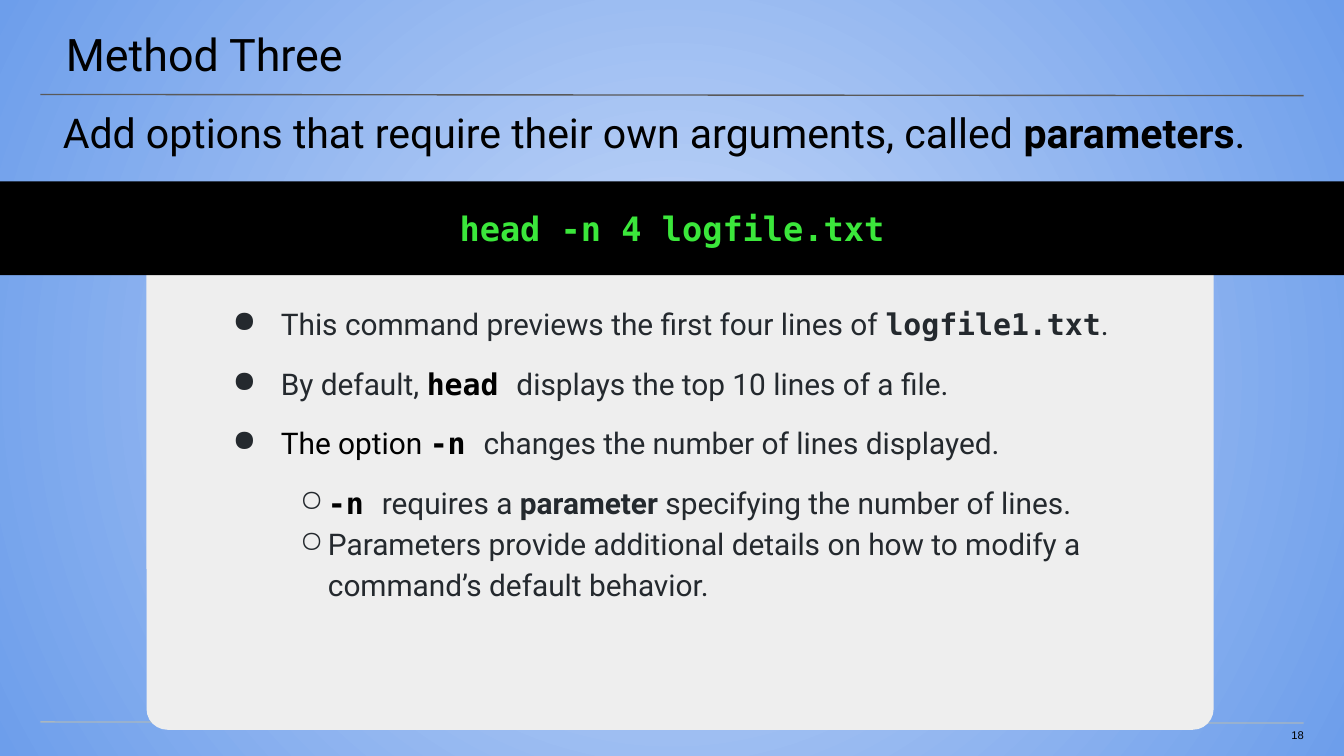
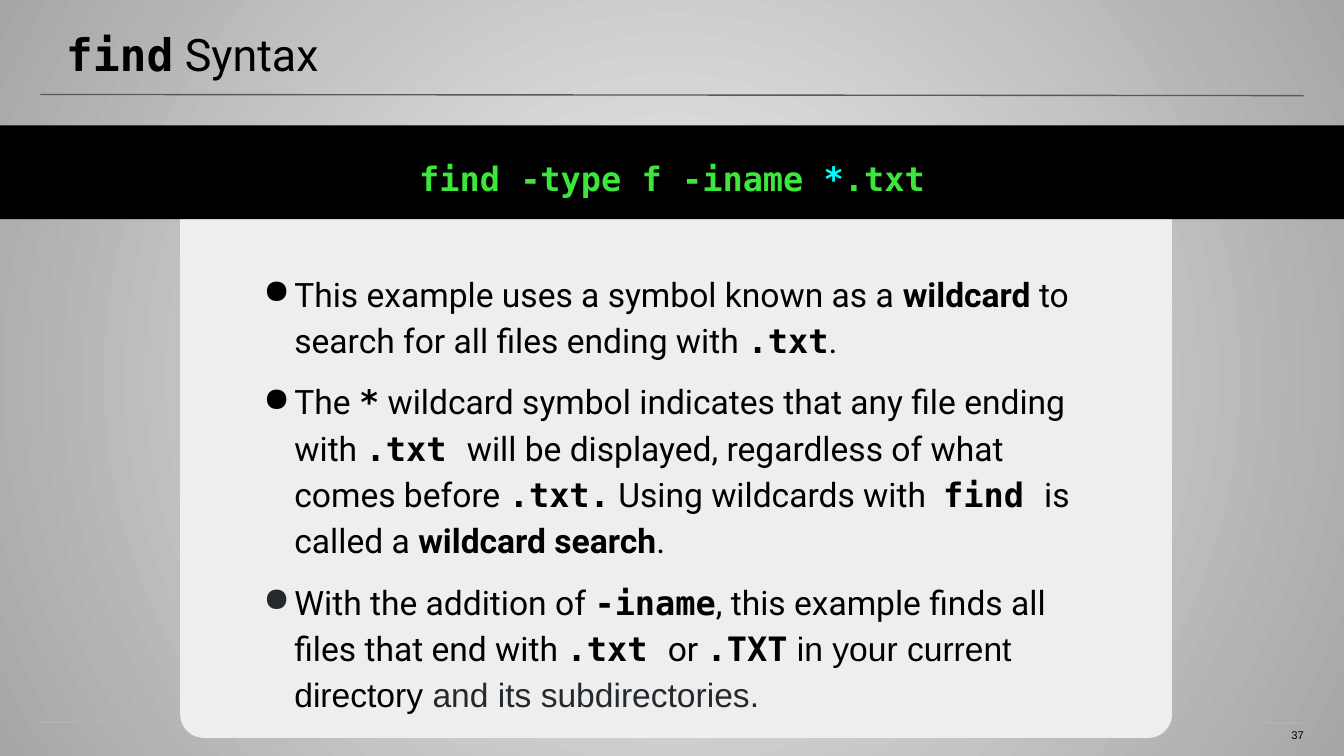
"""Build two command-line teaching slides that share a title rule, black command band and rounded panel."""
from lxml import etree
from pptx import Presentation
from pptx.dml.color import RGBColor
from pptx.enum.shapes import MSO_CONNECTOR, MSO_SHAPE
from pptx.enum.text import MSO_ANCHOR, PP_ALIGN
from pptx.oxml.ns import qn
from pptx.util import Inches, Pt

RECT, ROUND_TOP = MSO_SHAPE.RECTANGLE, MSO_SHAPE.ROUND_2_SAME_RECTANGLE
STRAIGHT = MSO_CONNECTOR.STRAIGHT
LEFT, CENTER, RIGHT = PP_ALIGN.LEFT, PP_ALIGN.CENTER, PP_ALIGN.RIGHT
TOP, MIDDLE = MSO_ANCHOR.TOP, MSO_ANCHOR.MIDDLE
BLACK, INK, GREEN, CYAN, PANEL = "000000", "24292E", "3BE73B", "00FFFF", "EEEEEE"
FONTS = {"text": ("Roboto", False), "bold": ("Roboto", True),
         "code": ("DejaVu Sans Mono", True), "plain": ("Arial", False)}

prs = Presentation()
prs.slide_width, prs.slide_height = Inches(10), Inches(5.625)
COL, ROW = prs.slide_width / 100, prs.slide_height / 100


def rgb(hex_color):
    """Turn a hex string into a colour."""
    return RGBColor.from_string(hex_color)


def add_block(s, at, paras, size, ins=(0.1, 0.1, 0.1, 0.1), shape=None, fill=None, align=LEFT, anchor=TOP):
    """Add a text box or filled shape on the grid; a paragraph is (format, runs)."""
    x, y, w, h = at
    box = [round(v) for v in (x * COL, y * ROW, w * COL, h * ROW)]
    if shape is None:
        sp = s.shapes.add_textbox(*box)
    else:
        sp = s.shapes.add_shape(shape, *box)
        sp.shadow.inherit = False
        sp.fill.solid()
        sp.fill.fore_color.rgb = rgb(fill)
        sp.line.fill.background()
    tf = sp.text_frame
    tf.word_wrap, tf.vertical_anchor = True, anchor
    tf.margin_left, tf.margin_top, tf.margin_right, tf.margin_bottom = [Inches(v) for v in ins]
    for i, (fmt, runs) in enumerate(paras):
        p = tf.add_paragraph() if i else tf.paragraphs[0]
        pPr = p._p.get_or_add_pPr()
        pPr.set("marL", str(Inches(fmt.get("margin", 0))))
        pPr.set("indent", str(Inches(fmt.get("hang", 0))))
        if "bullet" in fmt:
            clr = etree.SubElement(pPr, qn("a:buClr"))
            etree.SubElement(clr, qn("a:srgbClr"), val=fmt.get("dot", INK))
            etree.SubElement(pPr, qn("a:buChar"), char=fmt["bullet"])
        p.alignment = align
        p.level = fmt.get("level", 0)
        p.line_spacing = fmt.get("spacing", 1.0)
        p.space_before, p.space_after = Pt(fmt.get("before", 0)), Pt(fmt.get("after", 0))
        for text, style, color in runs:
            r = p.add_run()
            r.text = text
            r.font.name, r.font.bold = FONTS[style]
            r.font.size, r.font.color.rgb = Pt(size), rgb(color)
    return sp


DOT = {"margin": 0.5, "hang": -0.36, "spacing": 1.14, "bullet": "●"}
RING = {"level": 1, "margin": 0.85, "hang": -0.21, "spacing": 1.15, "bullet": "○"}
WIDE = {"margin": 0.35, "hang": -0.23, "spacing": 1.15, "bullet": "●", "dot": BLACK}

slides = [
    {"number": "18", "gradient": ("C9DAF8", "6D9EEB"),
     "title": [("Method Three", "text", BLACK)],
     "panel": (10.9, 35.2, 79.4, 61.33),
     "band": 24, "band_anchor": MIDDLE, "band_ins": (0.1, 0.1, 0.1, 0.1), "band_format": {"after": 8},
     "command": [("head -n 4 logfile.txt", "code", GREEN)],
     "body_at": (10.9, 39.82, 80.2, 43.9), "body_size": 16,
     "body": [
         (DOT, [("This command previews the first four lines of ", "text", INK),
                ("logfile1.txt", "code", INK), (".", "text", INK)]),
         (DOT | {"before": 10}, [("By default, ", "text", INK), ("head ", "code", BLACK),
                                 ("displays the top 10 lines of a file.", "text", INK)]),
         (DOT | {"before": 10}, [("The option ", "text", BLACK), ("-n ", "code", BLACK),
                                 ("changes the number of lines displayed.", "text", INK)]),
         (RING | {"before": 10}, [("-n ", "code", BLACK), ("requires a ", "text", INK),
                                  ("parameter", "bold", INK),
                                  (" specifying the number of lines.", "text", INK)]),
         (RING, [("Parameters provide additional details on how to modify a command’s "
                  "default behavior.", "text", INK)])],
     "lead": [("Add options that require their own arguments, called ", "text", BLACK),
              ("parameters", "bold", BLACK), (".", "text", BLACK)]},
    {"number": "37", "gradient": ("F2F2F2", "A6A6A6"),
     "title": [("find", "code", BLACK), (" Syntax", "text", BLACK)],
     "panel": (13.4, 27.9, 73.8, 69.7),
     "band": 16.6, "band_anchor": TOP, "band_ins": (0.1, 0.2, 0.1, 0.2), "band_format": {"spacing": 1.15},
     "command": [("find -type f -iname ", "code", GREEN), ("*", "code", CYAN), (".txt", "code", GREEN)],
     "body_at": (13.4, 35.4, 73.8, 28.4), "body_size": 18,
     "body": [
         (WIDE, [("This example uses a symbol known as a ", "text", BLACK), ("wildcard", "bold", BLACK),
                 (" to search for all files ending with ", "text", BLACK),
                 (".txt", "code", BLACK), (".", "text", BLACK)]),
         (WIDE | {"before": 8}, [
             ("The ", "text", BLACK), ("*", "code", BLACK),
             (" wildcard symbol indicates that any file ending with ", "text", BLACK),
             (".txt ", "code", BLACK),
             ("will be displayed, regardless of what comes before ", "text", BLACK),
             (".txt.", "code", BLACK), (" Using wildcards with  ", "text", BLACK),
             ("find ", "code", BLACK), ("is called a ", "text", BLACK),
             ("wildcard search", "bold", BLACK), (".", "text", BLACK)]),
         (WIDE | {"before": 8, "after": 8, "dot": INK}, [
             ("With the addition of ", "text", BLACK), ("-iname", "code", BLACK),
             (", this example finds all files that end with ", "text", BLACK),
             (".txt ", "code", BLACK), ("or ", "text", BLACK), (".TXT", "code", BLACK),
             (" in your current directory ", "plain", BLACK),
             ("and its subdirectories.", "plain", INK)])]},
]

for d in slides:
    s = prs.slides.add_slide(prs.slide_layouts[6])

    fill = s.background.fill
    fill.gradient()
    for stop, color, position in zip(fill.gradient_stops, d["gradient"], (0, 1)):
        stop.color.rgb, stop.position = rgb(color), position
    grad = s.element.find(".//" + qn("a:gradFill"))
    grad.remove(grad.find(qn("a:lin")))
    shade = etree.SubElement(grad, qn("a:path"), path="circle")
    etree.SubElement(shade, qn("a:fillToRect"), l="50000", t="50000", r="50000", b="50000")

    for row, color in ((12.5, "595959"), (95.5, "A9B7C0")):
        rule = s.shapes.add_connector(STRAIGHT, round(3 * COL), round(row * ROW),
                                      round(97 * COL), round((row + 0.15) * ROW))
        rule.line.color.rgb, rule.line.width = rgb(color), Pt(0.75)
        etree.SubElement(rule._element.spPr, qn("a:effectLst"))

    panel = add_block(s, d["panel"], [], 16, shape=ROUND_TOP, fill=PANEL)
    panel.rotation = 180
    panel.adjustments[0], panel.adjustments[1] = 0.045, 0
    add_block(s, d["body_at"], d["body"], d["body_size"], ins=(0.5, 0, 0.5, 1))
    add_block(s, (94.1, 96.4, 2.9, 2.1), [({}, [(d["number"], "plain", BLACK)])], 6,
              ins=(0, 0, 0, 0.1), align=RIGHT)
    add_block(s, (-0.1, 0, 100.3, 12.4), [({}, d["title"])], 24, ins=(0.5, 0.2, 0.3, 0.1))
    add_block(s, (0, d["band"], 100, 12.4), [(d["band_format"], d["command"])], 18, ins=d["band_ins"],
              shape=RECT, fill=BLACK, align=CENTER, anchor=d["band_anchor"])
    if "lead" in d:
        add_block(s, (0.6, 12.4, 100, 17.2), [({"margin": 0.31}, d["lead"])], 22)

prs.save("out.pptx")
